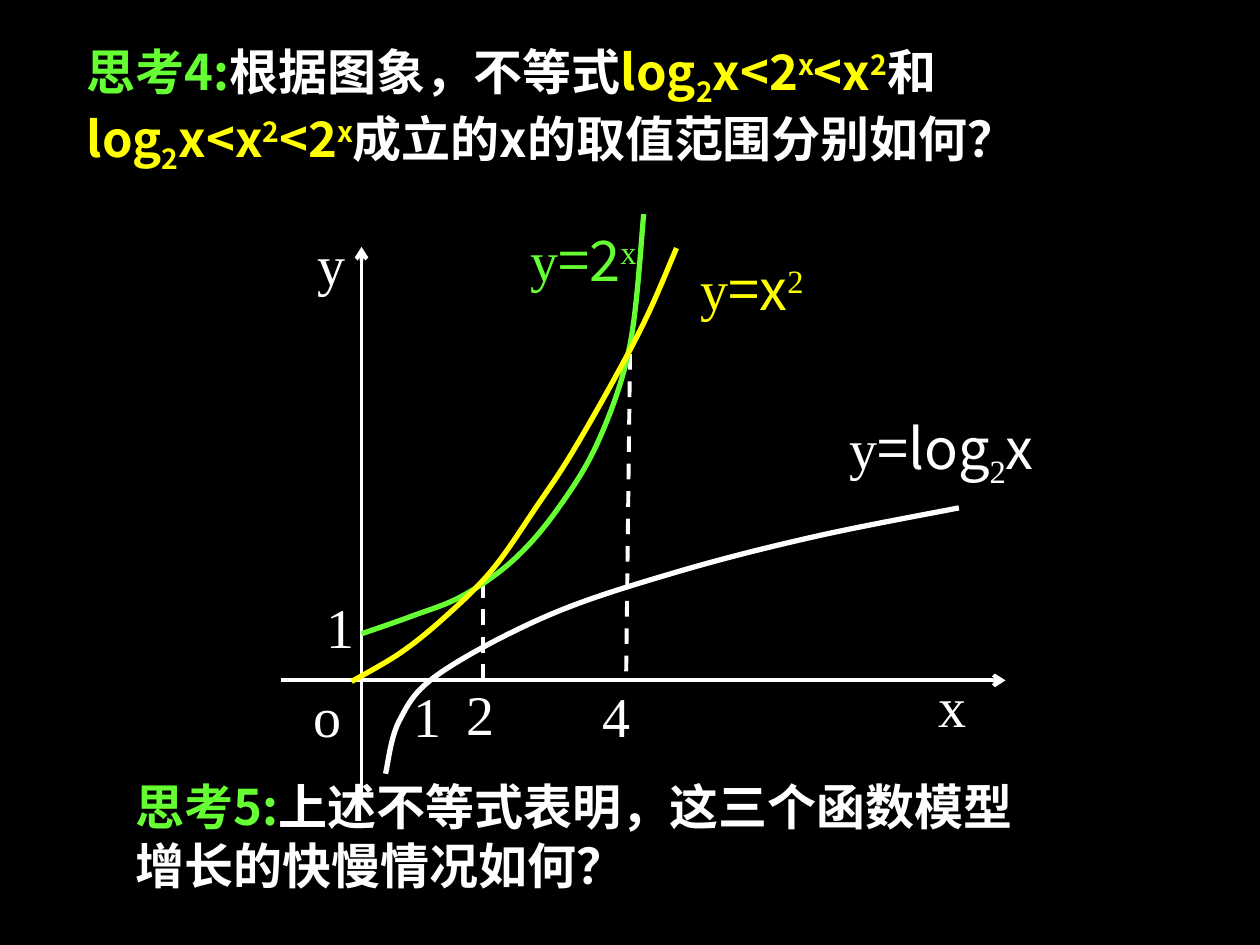
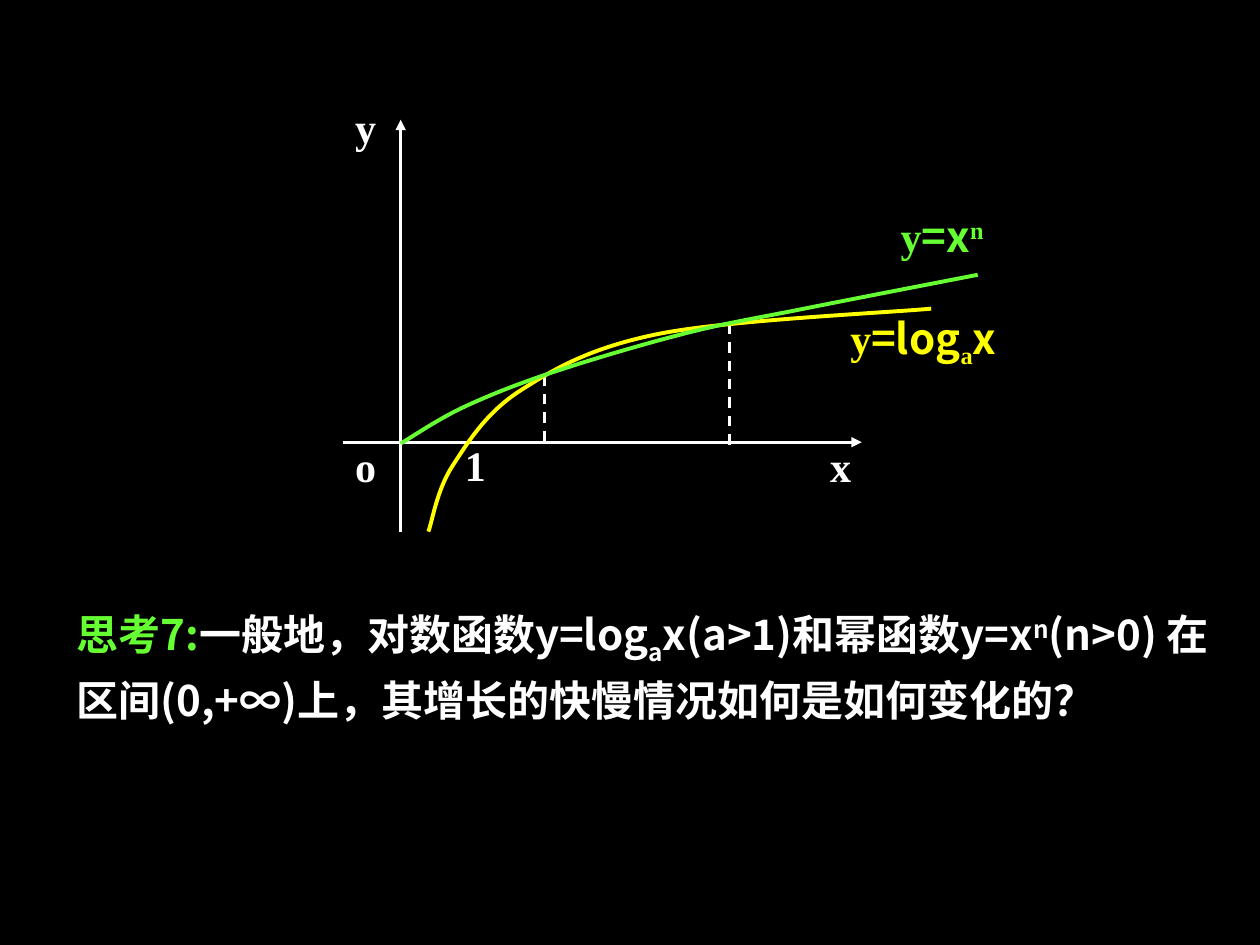
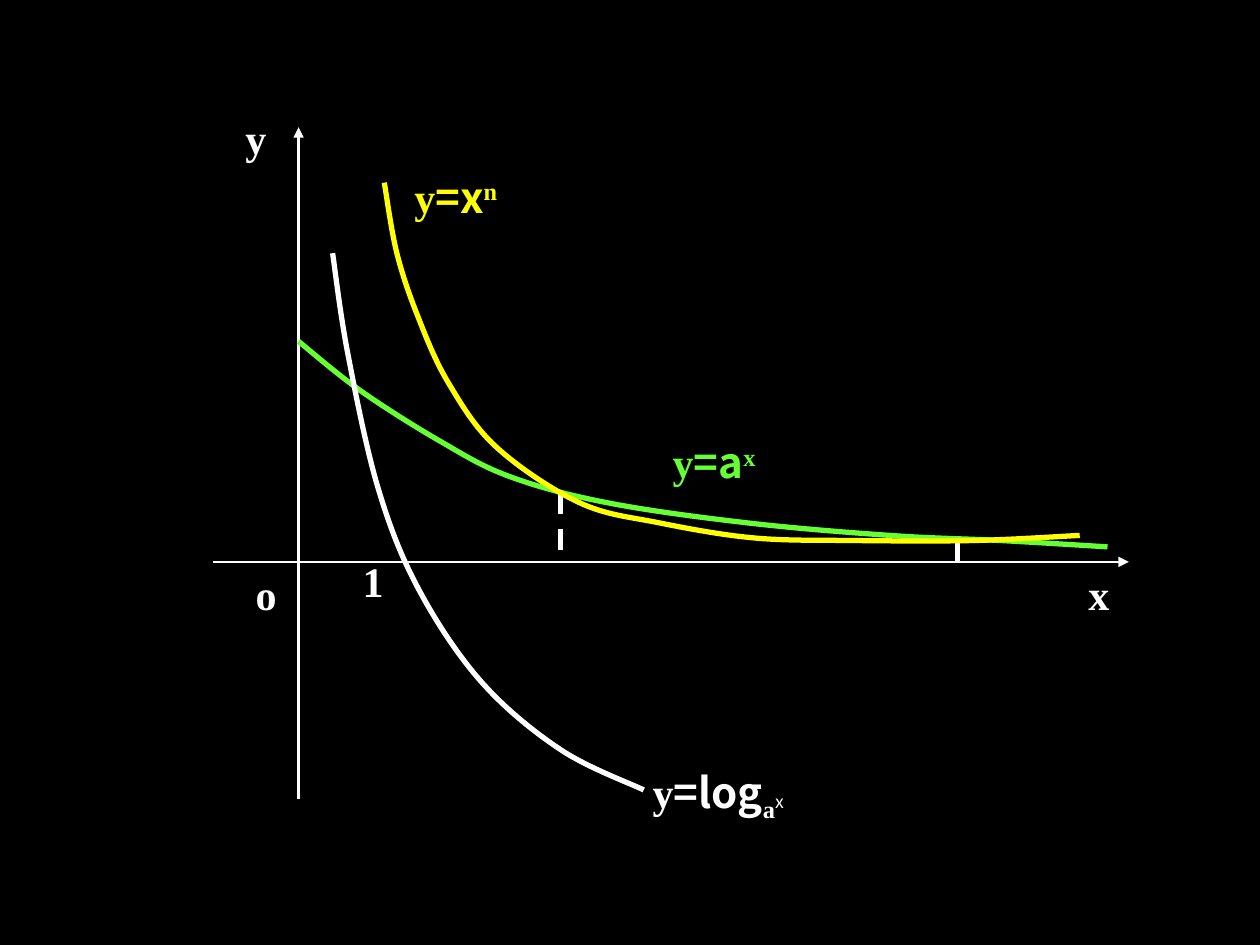
from dataclasses import dataclass

from lxml import etree
from pptx import Presentation
from pptx.dml.color import RGBColor
from pptx.enum.dml import MSO_LINE
from pptx.enum.shapes import MSO_CONNECTOR
from pptx.enum.text import MSO_AUTO_SIZE
from pptx.oxml.ns import qn
from pptx.util import Pt

STRAIGHT = MSO_CONNECTOR.STRAIGHT
DASH = MSO_LINE.DASH
GROW = MSO_AUTO_SIZE.SHAPE_TO_FIT_TEXT
SUPER, SUB = 30, -25

Point = tuple[float, float]


# Shared look
@dataclass(frozen=True)
class Theme:
    black: RGBColor = RGBColor(0x00, 0x00, 0x00)
    white: RGBColor = RGBColor(0xFF, 0xFF, 0xFF)
    green: RGBColor = RGBColor(0x66, 0xFF, 0x33)
    yellow: RGBColor = RGBColor(0xFF, 0xFF, 0x00)
    sans: str = "Noto Sans CJK SC"
    serif: str = "Times New Roman"
    large: float = 32
    question: float = 28
    small: float = 24
    tiny: float = 10


THEME = Theme()


@dataclass(frozen=True)
class Span:
    text: str
    color: RGBColor = THEME.white
    shift: int = 0
    font: str = THEME.sans
    size: float | None = None
    bold: bool | None = None


@dataclass(frozen=True)
class Frame:
    left: float
    top: float
    width: float
    height: float


@dataclass(frozen=True)
class Label:
    frame: Frame
    spans: list[Span]


@dataclass(frozen=True)
class Question:
    frame: Frame
    size: float
    pitch: float
    paragraphs: list[list[Span]]


@dataclass(frozen=True)
class Curve:
    color: RGBColor
    knots: list[Point]


@dataclass(frozen=True)
class Marker:
    start: Point
    end: Point
    dashed: bool = True


@dataclass(frozen=True)
class Graph:
    size: float
    bold: bool
    axis_weight: float
    marker_weight: float
    curve_weight: float
    arrow: str
    axes: list[Marker]
    markers: list[Marker]
    labels: list[Label]
    curves: list[Curve]


# Text
def add_text(page, frame: Frame, paragraphs: list[list[Span]], size: float,
             bold: bool, pitch: float | None = None) -> None:
    box = page.shapes.add_textbox(Pt(frame.left), Pt(frame.top),
                                  Pt(frame.width), Pt(frame.height))
    text_frame = box.text_frame
    text_frame.word_wrap = True
    if pitch:
        text_frame.auto_size = GROW
    for index, spans in enumerate(paragraphs):
        para = text_frame.add_paragraph() if index else text_frame.paragraphs[0]
        if pitch:
            para.line_spacing = Pt(pitch)
        for span in spans:
            run = para.add_run()
            run.text = span.text
            run.font.size = Pt(span.size or size)
            run.font.bold = bold if span.bold is None else span.bold
            run.font.color.rgb = span.color
            run.font.name = span.font
            properties = run._r.get_or_add_rPr()
            etree.SubElement(properties, qn("a:ea"), typeface=span.font)
            if span.shift:
                properties.set("baseline", str(span.shift * 1000))


def letter(text: str, frame: Frame) -> Label:
    return Label(frame, [Span(text, font=THEME.serif)])


def formula(frame: Frame, color: RGBColor, body: str, script: str,
            shift: int, *rest: Span) -> Label:
    return Label(frame, [Span("y", color, font=THEME.serif), Span(body, color),
                         Span(script, color, shift, THEME.serif), *rest])


# Lines and curves
def add_line(page, line: Marker, weight: float, arrow: str = "") -> None:
    connector = page.shapes.add_connector(
        STRAIGHT, *(Pt(value) for value in line.start + line.end))
    connector.line.color.rgb = THEME.white
    connector.line.width = Pt(weight)
    if line.dashed:
        connector.line.dash_style = DASH
    if arrow:
        etree.SubElement(connector.line._get_or_add_ln(), qn("a:tailEnd"), type=arrow)
    etree.SubElement(connector._element.spPr, qn("a:effectLst"))


def add_curve(page, curve: Curve, weight: float) -> None:
    corners = [(Pt(x), Pt(y)) for x, y in curve.knots]
    builder = page.shapes.build_freeform(*corners[0])
    builder.add_line_segments(corners[1:], close=False)
    shape = builder.convert_to_shape()
    shape.shadow.inherit = False
    shape.fill.background()
    shape.line.color.rgb = curve.color
    shape.line.width = Pt(weight)

    # Each control point lies a sixth of the chord between neighbouring knots away
    points = [(int(point.get("x")), int(point.get("y")))
              for point in shape._element.iter(qn("a:pt"))]
    last = len(points) - 1
    slopes = [tuple((after - before) / 6 for before, after in
                    zip(points[max(i - 1, 0)], points[min(i + 1, last)]))
              for i in range(last + 1)]
    for i, segment in enumerate(list(shape._element.iter(qn("a:lnTo")))):
        (x1, y1), (x2, y2) = points[i:i + 2]
        (dx1, dy1), (dx2, dy2) = slopes[i:i + 2]
        bezier = etree.Element(qn("a:cubicBezTo"))
        for x, y in ((x1 + dx1, y1 + dy1), (x2 - dx2, y2 - dy2), (x2, y2)):
            etree.SubElement(bezier, qn("a:pt"), x=str(round(x)), y=str(round(y)))
        segment.getparent().replace(segment, bezier)


# Pages
def add_page(deck, graph: Graph, questions: list[Question]) -> None:
    page = deck.slides.add_slide(deck.slide_layouts[6])
    for question in questions:
        add_text(page, question.frame, question.paragraphs, question.size,
                 True, question.pitch)
    for marker in graph.markers:
        add_line(page, marker, graph.marker_weight)
    for axis in graph.axes:
        add_line(page, axis, graph.axis_weight, graph.arrow)
    for label in graph.labels:
        add_text(page, label.frame, [label.spans], graph.size, graph.bold)
    for curve in graph.curves:
        add_curve(page, curve, graph.curve_weight)


def axes(left: float, right: float, level: float, x: float, bottom: float,
         top: float) -> list[Marker]:
    return [Marker((left, level), (right, level), False),
            Marker((x, bottom), (x, top), False)]


WHITE, GREEN, YELLOW = THEME.white, THEME.green, THEME.yellow

# Three growth models
MODELS = Graph(
    THEME.large, False, 2.25, 2.25, 3, "arrow",
    axes(160.6, 574.6, 388.8, 206.6, 457.2, 141.1),
    [Marker((275.8, 332.6), (275.8, 388.1)), Marker((360, 202.3), (357.8, 386.6))],
    [letter("x", Frame(529.2, 380.2, 51.8, 41.8)),
     letter("y", Frame(174.2, 127.4, 28.1, 55.4)),
     letter("o", Frame(172.1, 385.9, 33.8, 41.8)),
     letter("1", Frame(179.3, 334.8, 28.1, 40.3)),
     letter("1", Frame(229, 385.9, 51.1, 38.2)),
     letter("2", Frame(259.2, 384.5, 49.7, 41)),
     letter("4", Frame(337, 385.9, 69.1, 54.7)),
     formula(Frame(295.9, 125.3, 79.2, 55.4), GREEN, "=2", "x", SUPER),
     formula(Frame(393.1, 141.8, 85, 56.2), YELLOW, "=x", "2", SUPER),
     formula(Frame(478.1, 232.6, 137.5, 56.2), WHITE, "=log", "2", SUB, Span("x"))],
    [Curve(GREEN, [(206.6, 362.2), (235.4, 352.1), (264.2, 340.6), (293, 320.4),
                   (318.2, 291.6), (342, 252), (360, 197.3), (367.9, 122.4)]),
     Curve(YELLOW, [(200.9, 389.5), (229, 373), (254.9, 352.1), (281.5, 325.4),
                    (306.7, 289.4), (326.2, 259.9), (350.6, 217.4), (370.1, 180),
                    (386.6, 141.8)]),
     Curve(WHITE, [(220.3, 442.1), (228.2, 411.8), (250.6, 385.2), (313.9, 351.4),
                   (386.6, 326.9), (465.1, 306.7), (547.9, 290.2)])])

MODEL_QUESTIONS = [
    Question(Frame(42.5, 20.2, 564.5, 83.5), THEME.question, 38.3, [
        [Span("思考4:", GREEN), Span("根据图象，不等式"), Span("log", YELLOW),
         Span("2", YELLOW, SUB), Span("x<2", YELLOW), Span("x", YELLOW, SUPER),
         Span("<x", YELLOW), Span("2", YELLOW, SUPER), Span("和")],
        [Span("log", YELLOW), Span("2", YELLOW, SUB), Span("x<x", YELLOW),
         Span("2", YELLOW, SUPER), Span("<2", YELLOW), Span("x", YELLOW, SUPER),
         Span("成立的x的取值范围分别如何？")]]),
    Question(Frame(70.6, 439.9, 529.9, 74.9), THEME.question, 33.7, [
        [Span("思考5:", GREEN),
         Span("上述不等式表明，这三个函数模型增长的快慢情况如何？")]])]

# Logarithm against power
LOG_POWER = Graph(
    THEME.small, True, 1.5, 1.5, 2.25, "triangle",
    axes(195.8, 492.5, 252.7, 229, 303.8, 68.4),
    [Marker((311, 214.6), (311, 255.6)), Marker((416.9, 185), (416.9, 254.2))],
    [letter("x", Frame(467.3, 248.4, 49, 41.8)),
     letter("y", Frame(195.8, 54.7, 49.7, 51.8)),
     letter("o", Frame(195.8, 248.4, 43.9, 41.8)),
     letter("1", Frame(258.5, 247.7, 49.7, 41.8)),
     formula(Frame(478.8, 175, 98.6, 57.6), YELLOW, "=log", "a", SUB,
             Span("x", YELLOW)),
     formula(Frame(507.6, 116.6, 65.5, 49), GREEN, "=x", "n", SUPER)],
    [Curve(YELLOW, [(244.8, 303.8), (258.5, 266.4), (297.4, 223.2), (376.6, 190.8),
                    (532.1, 176.4)]),
     Curve(GREEN, [(229, 253.4), (265, 232.6), (316.8, 212.4), (393.1, 190.1),
                   (459.4, 176.4), (558.7, 157)])])

LOG_POWER_QUESTIONS = [
    Question(Frame(36.7, 343.4, 683.3, 69.1), THEME.small, 33.7, [
        [Span("思考7:", GREEN), Span("一般地，对数函数y=log"), Span("a", shift=SUB),
         Span("x(a>1)和幂函数y=x"), Span("n", shift=SUPER),
         Span("(n>0) 在区间(0,+∞)上，其增长的快慢情况如何是如何变化的？")]])]

# Decreasing functions
DECREASING = Graph(
    THEME.small, True, 1.5, 3, 3, "triangle",
    axes(121.7, 645.1, 321.1, 170.6, 456.5, 72.7),
    [Marker((320.4, 281.5), (320.4, 321.1)),
     Marker((547.2, 309.6), (547.2, 321.1), False)],
    [letter("x", Frame(614.9, 321.1, 62.6, 52.6)),
     letter("y", Frame(133.2, 60.5, 62.6, 52.6)),
     letter("o", Frame(139, 321.1, 56.2, 52.6)),
     letter("1", Frame(200.2, 313.9, 62.6, 52.6)),
     formula(Frame(377.3, 246.2, 104.4, 52.6), GREEN, "=a", "x", SUPER),
     formula(Frame(229.7, 94.3, 97.2, 52.6), YELLOW, "=x", "n", SUPER),
     formula(Frame(365.8, 434.2, 140.4, 52.6), WHITE, "=log", "a", SUB,
             Span("x", size=THEME.tiny, bold=False))],
    [Curve(GREEN, [(170.6, 195.1), (205.9, 223.2), (251.3, 252), (290.9, 272.2),
                   (347, 287.3), (427, 298.8), (509, 306), (571.7, 308.9),
                   (632.9, 312.5)]),
     Curve(YELLOW, [(219.6, 104.4), (226.8, 144.7), (239, 181.4), (256.3, 218.9),
                    (283.7, 255.6), (331.2, 287.3), (376.6, 298.8), (430.6, 307.4),
                    (486.7, 308.9), (556.6, 308.9), (617, 306)]),
     Curve(WHITE, [(190.1, 144.7), (198.7, 201.6), (216, 278.6), (239, 336.2),
                   (275, 389.5), (320.4, 428.4), (367.9, 451.4)])])


def main() -> None:
    deck = Presentation()
    deck.slide_width, deck.slide_height = Pt(720), Pt(540)
    backdrop = deck.slide_master.background.fill
    backdrop.solid()
    backdrop.fore_color.rgb = THEME.black
    add_page(deck, MODELS, MODEL_QUESTIONS)
    add_page(deck, LOG_POWER, LOG_POWER_QUESTIONS)
    add_page(deck, DECREASING, [])
    deck.save("out.pptx")


if __name__ == "__main__":
    main()
